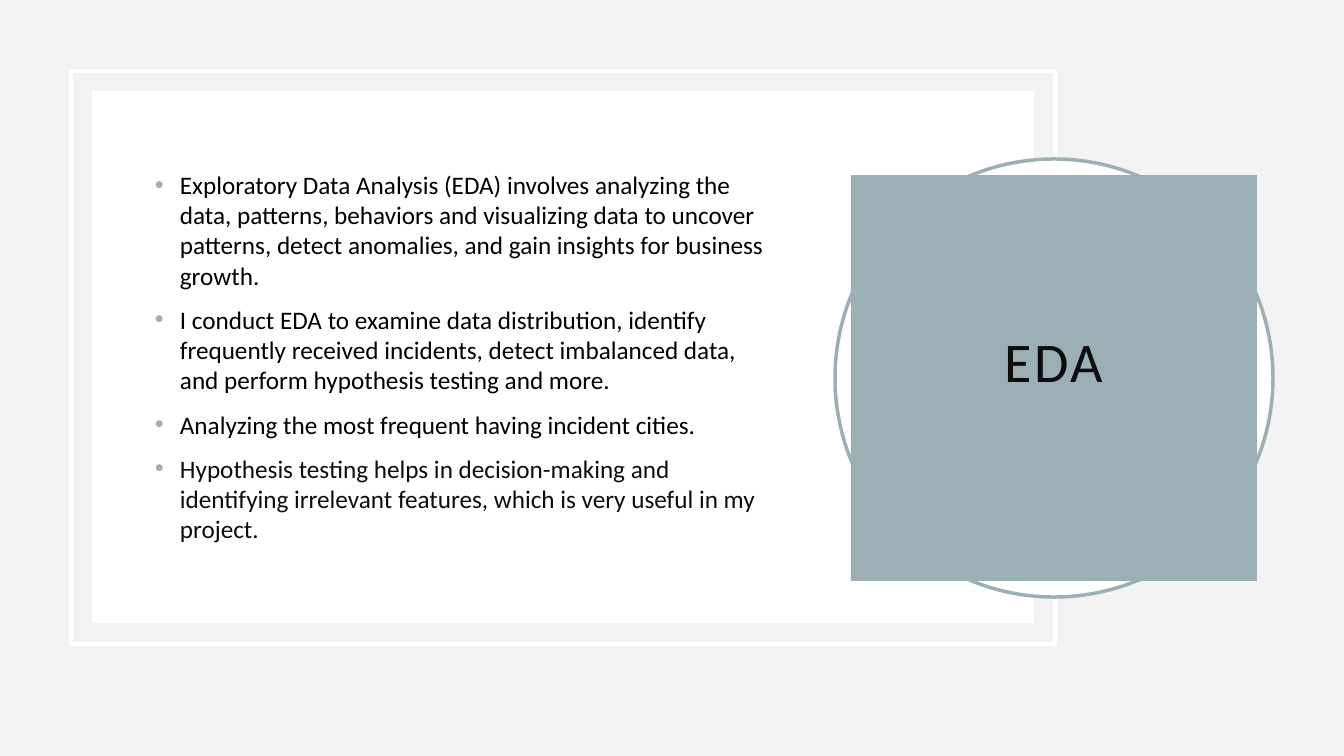
from pptx import Presentation
from pptx.dml.color import RGBColor
from pptx.enum.shapes import MSO_SHAPE
from pptx.enum.text import MSO_ANCHOR, PP_ALIGN
from pptx.oxml.ns import qn
from pptx.util import Pt
from lxml.etree import SubElement

WHITE = RGBColor(0xFF, 0xFF, 0xFF)
BLACK = RGBColor(0x00, 0x00, 0x00)
INK = RGBColor(0x0D, 0x0D, 0x0D)
PALE_GRAY = RGBColor(0xF2, 0xF2, 0xF2)
SLATE = RGBColor(0x9B, 0xAF, 0xB5)

POINTS = [
    ("Exploratory Data Analysis (EDA) involves analyzing the data, patterns, behaviors "
     "and visualizing data to uncover patterns, detect anomalies, and gain insights for "
     "business growth.", BLACK),
    ("I conduct EDA to examine data distribution, identify frequently received incidents, "
     "detect imbalanced data, and perform hypothesis testing and more.", BLACK),
    ("Analyzing the most frequent having incident cities.", BLACK),
    ("Hypothesis testing helps in decision-making and identifying irrelevant features, "
     "which is very useful in my project.", INK),
]


def px(length):
    """Turn whole pixels into EMU."""
    return round(length * 914400 / 100.8)


def add_bullet(paragraph, color, indent):
    """Give a paragraph a coloured round bullet with a hanging indent."""
    properties = paragraph._p.get_or_add_pPr()
    properties.set("marL", str(px(indent)))
    properties.set("indent", str(-px(indent)))
    bullet_color = SubElement(properties, qn("a:buClr"))
    SubElement(bullet_color, qn("a:srgbClr"), val=str(color))
    SubElement(properties, qn("a:buFont"), typeface="Arial")
    SubElement(properties, qn("a:buChar"), char="•")


def write(paragraph, text, *, size, color, font="Calibri", align=PP_ALIGN.LEFT,
          before=0, line_spacing=None, tracking=0):
    """Write one formatted run into a paragraph."""
    paragraph.alignment = align
    paragraph.space_before = Pt(before)
    if line_spacing:
        paragraph.line_spacing = line_spacing
    run = paragraph.add_run()
    run.text = text
    run.font.name = font
    run.font.size = Pt(size)
    run.font.color.rgb = color
    if tracking:
        run.font._element.set("spc", str(tracking * 100))


class SlideBuilder:
    """Hold the style and the current slide."""

    def __init__(self, presentation, background, accent):
        """Add a blank slide with a plain background."""
        self.accent = accent
        self.slide = presentation.slides.add_slide(presentation.slide_layouts[6])
        self.slide.background.fill.solid()
        self.slide.background.fill.fore_color.rgb = background

    def shape(self, kind, left, top, width, height, fill=None, line=None):
        """Add a preset shape with an optional fill and outline."""
        shape = self.slide.shapes.add_shape(kind, px(left), px(top), px(width), px(height))
        shape.shadow.inherit = False
        if fill is None:
            shape.fill.background()
        else:
            shape.fill.solid()
            shape.fill.fore_color.rgb = fill
        if line is None:
            shape.line.fill.background()
        else:
            shape.line.color.rgb = line
            shape.line.width = Pt(2.5)
        return shape

    def title(self, shape, text):
        """Write the title into a shape, slightly above its middle."""
        frame = shape.text_frame
        frame.word_wrap = True
        frame.vertical_anchor = MSO_ANCHOR.MIDDLE
        frame.margin_left = frame.margin_right = frame.margin_top = px(20)
        frame.margin_bottom = px(48)
        write(frame.paragraphs[0], text, size=40, color=INK, align=PP_ALIGN.CENTER,
              line_spacing=0.9, tracking=2)

    def bullets(self, left, top, width, height, points):
        """Add a vertically centred bullet list."""
        box = self.slide.shapes.add_textbox(px(left), px(top), px(width), px(height))
        frame = box.text_frame
        frame.word_wrap = True
        frame.vertical_anchor = MSO_ANCHOR.MIDDLE
        for index, (text, color) in enumerate(points):
            paragraph = frame.add_paragraph() if index else frame.paragraphs[0]
            add_bullet(paragraph, self.accent, 25)
            write(paragraph, text, size=18, color=color, before=10 if index else 0)


def main():
    """Build the slide and save it."""
    presentation = Presentation()
    presentation.slide_width = px(1344)
    presentation.slide_height = px(756)
    builder = SlideBuilder(presentation, PALE_GRAY, SLATE)
    builder.shape(MSO_SHAPE.RECTANGLE, 71, 71, 984, 573, line=WHITE)
    builder.shape(MSO_SHAPE.RECTANGLE, 92, 91, 942, 532, fill=WHITE)
    builder.bullets(145, 141, 630, 431, POINTS)
    builder.shape(MSO_SHAPE.OVAL, 835, 159, 438, 438, fill=WHITE, line=SLATE)
    title_panel = builder.shape(MSO_SHAPE.RECTANGLE, 851, 175, 406, 406, fill=SLATE)
    builder.title(title_panel, "EDA")
    presentation.save("out.pptx")


if __name__ == "__main__":
    main()
